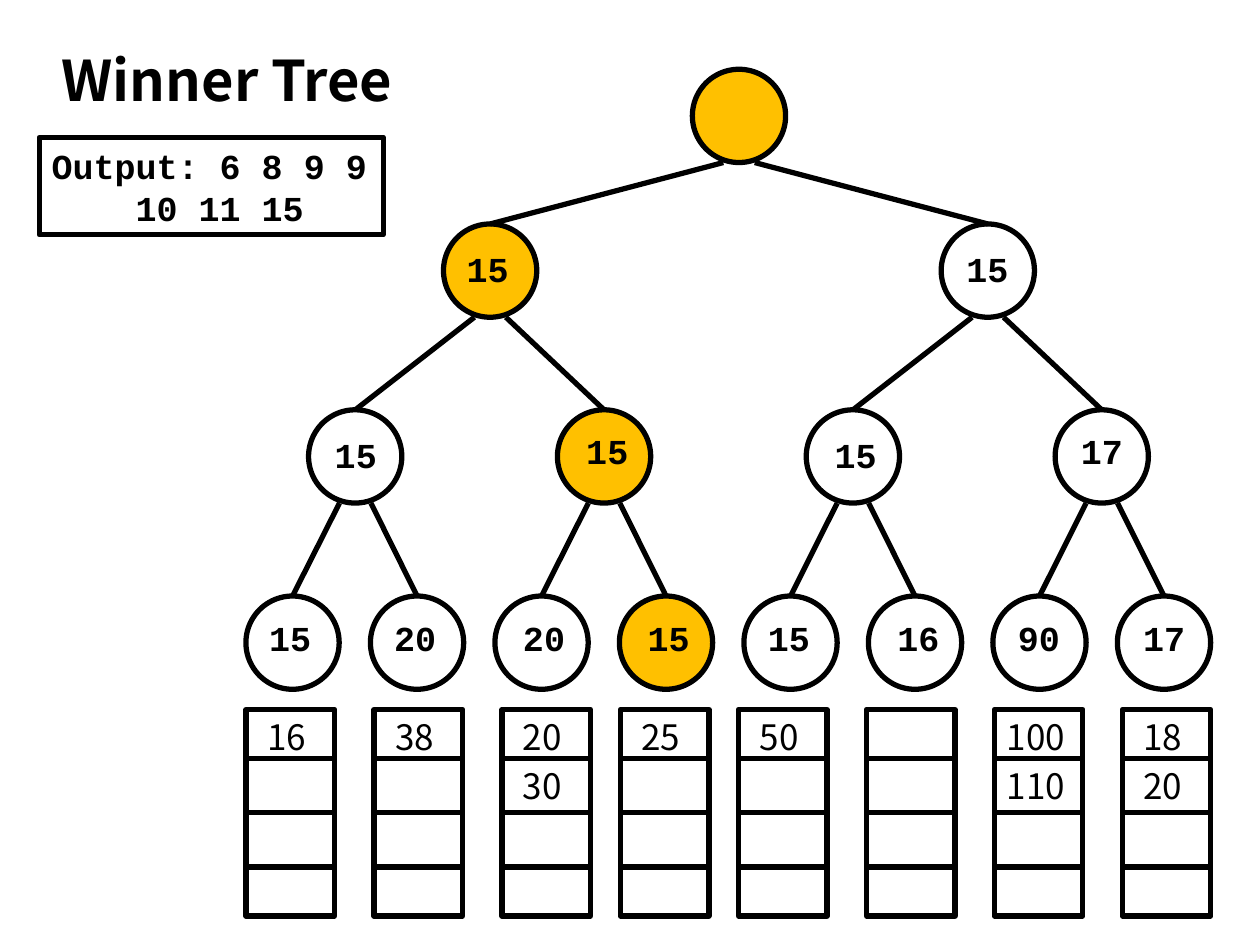
"""Build a slide of a winner tree whose leaves are fed by queues."""
from dataclasses import dataclass

from lxml import etree
from pptx import Presentation
from pptx import util as u
from pptx.dml import color
from pptx.enum import shapes, text
from pptx.oxml import ns

BLACK, GOLD = "000000", "FFC000"
MONO = {"name": "Courier New", "size": u.Pt(20), "bold": True}
PLAIN = {"name": "Noto Sans CJK KR", "size": u.Pt(20), "bold": False}
TITLE = {**PLAIN, "size": u.Pt(32), "bold": True}
SIZE, FORK = 53.3, 9
QTOP, QWIDE, QHIGH = 405.4, 50.6, 118
RULES = (433.4, 464.4, 495.4)


@dataclass
class Node:
    label: str
    dx: float = 0
    dy: float = 7.9
    gold: bool = False


@dataclass
class Level:
    start: float
    step: float
    top: float
    nodes: list[Node]

    def mid(self, i: int) -> float:
        return self.start + i * self.step


@dataclass
class Queue:
    left: float
    items: tuple[str, ...] = ()


LEVELS = [
    Level(422.3, 0, 39.6, [Node("", gold=True)]),
    Level(280.1, 284.4, 128, [Node("15", -1.4, 9.6, True), Node("15", -0.3, 9.6)]),
    Level(203, 142.2, 234.2, [
        Node("15", 0.3, 10), Node("15", 1.8, gold=True),
        Node("15", 1.6, 10), Node("17")]),
    Level(167.2, 71.14, 340.6, [
        Node("15", -1.4), Node("20", -1.1), Node("20", 1.4),
        Node("15", 1.4, gold=True), Node("15", -1), Node("16", 1.9),
        Node("90", -0.4), Node("17")]),
]
QUEUES = [
    Queue(140.6, ("16",)), Queue(213.7, ("38",)), Queue(286.8, ("20", "30")),
    Queue(354.5, ("25",)), Queue(422, ("50",)), Queue(495.1),
    Queue(568.2, ("100", "110")), Queue(641.3, ("18", "20")),
]


def paint(target, code: str) -> None:
    target.rgb = color.RGBColor.from_string(code)


def style(font, form: dict) -> None:
    for key, value in form.items():
        setattr(font, key, value)
    paint(font.color, BLACK)


def block(slide, kind, left: float, top: float, wide: float, high: float,
          fill: str | None = None):
    shape = slide.shapes.add_shape(kind, u.Pt(left), u.Pt(top), u.Pt(wide), u.Pt(high))
    shape.shadow.inherit = False
    if fill:
        shape.fill.solid()
        paint(shape.fill.fore_color, fill)
    else:
        shape.fill.background()
    paint(shape.line.color, BLACK)
    shape.line.width = u.Pt(3)
    return shape


def rule(slide, x1: float, y1: float, x2: float, y2: float) -> None:
    line = slide.shapes.add_connector(
        shapes.MSO_CONNECTOR.STRAIGHT, u.Pt(x1), u.Pt(y1), u.Pt(x2), u.Pt(y2))
    paint(line.line.color, BLACK)
    line.line.width = u.Pt(3)
    etree.SubElement(line._element.spPr, ns.qn("a:effectLst"))


def write(slide, words: str, left: float, top: float, wide: float, high: float,
          form: dict, align=text.PP_ALIGN.LEFT) -> None:
    box = slide.shapes.add_textbox(u.Pt(left), u.Pt(top), u.Pt(wide), u.Pt(high))
    frame = box.text_frame
    frame.word_wrap = True
    frame.auto_size = text.MSO_AUTO_SIZE.SHAPE_TO_FIT_TEXT
    para = frame.paragraphs[0]
    para.text, para.alignment = words, align
    style(para.font, form)


def draw_level(slide, level: Level) -> None:
    for i, node in enumerate(level.nodes):
        mid = level.mid(i)
        block(slide, shapes.MSO_SHAPE.OVAL, mid - SIZE / 2, level.top, SIZE, SIZE,
              GOLD if node.gold else None)
        if node.label:
            write(slide, node.label, mid + node.dx - 24, level.top + node.dy,
                  48, 31.5, MONO, text.PP_ALIGN.CENTER)


def link(slide, upper: Level, lower: Level) -> None:
    for i in range(len(lower.nodes)):
        side = FORK if i % 2 else -FORK
        rule(slide, lower.mid(i), lower.top,
             upper.mid(i // 2) + side, upper.top + SIZE)


def draw_queue(slide, queue: Queue) -> None:
    block(slide, shapes.MSO_SHAPE.RECTANGLE, queue.left, QTOP, QWIDE, QHIGH)
    for y in RULES:
        rule(slide, queue.left, y, queue.left + QWIDE, y)
    for top, item in zip((QTOP, RULES[0]), queue.items):
        inset = 5 if len(item) < 3 else 0
        write(slide, item, queue.left + inset, top, 51 - 2 * inset, 31.5, PLAIN)


def draw_out(slide) -> None:
    frame = block(slide, shapes.MSO_SHAPE.RECTANGLE, 22.4, 78.5, 196.6, 55.7).text_frame
    frame.word_wrap = False
    frame.auto_size = text.MSO_AUTO_SIZE.SHAPE_TO_FIT_TEXT
    frame.text = "Output: 6 8 9 9\n10 11 15"
    for para, indent in zip(frame.paragraphs, (0, 48)):
        para._p.get_or_add_pPr().set("marL", str(u.Pt(indent)))
        para.alignment = text.PP_ALIGN.LEFT
        style(para.font, MONO)


def main() -> None:
    deck = Presentation()
    deck.slide_width, deck.slide_height = u.Pt(720), u.Pt(540)
    slide = deck.slides.add_slide(deck.slide_layouts[6])
    for level in LEVELS:
        draw_level(slide, level)
    for upper, lower in zip(LEVELS, LEVELS[1:]):
        link(slide, upper, lower)
    for queue in QUEUES:
        draw_queue(slide, queue)
    write(slide, "Winner Tree", 28.1, 22.3, 242, 46, TITLE)
    draw_out(slide)
    deck.save("out.pptx")


if __name__ == "__main__":
    main()
